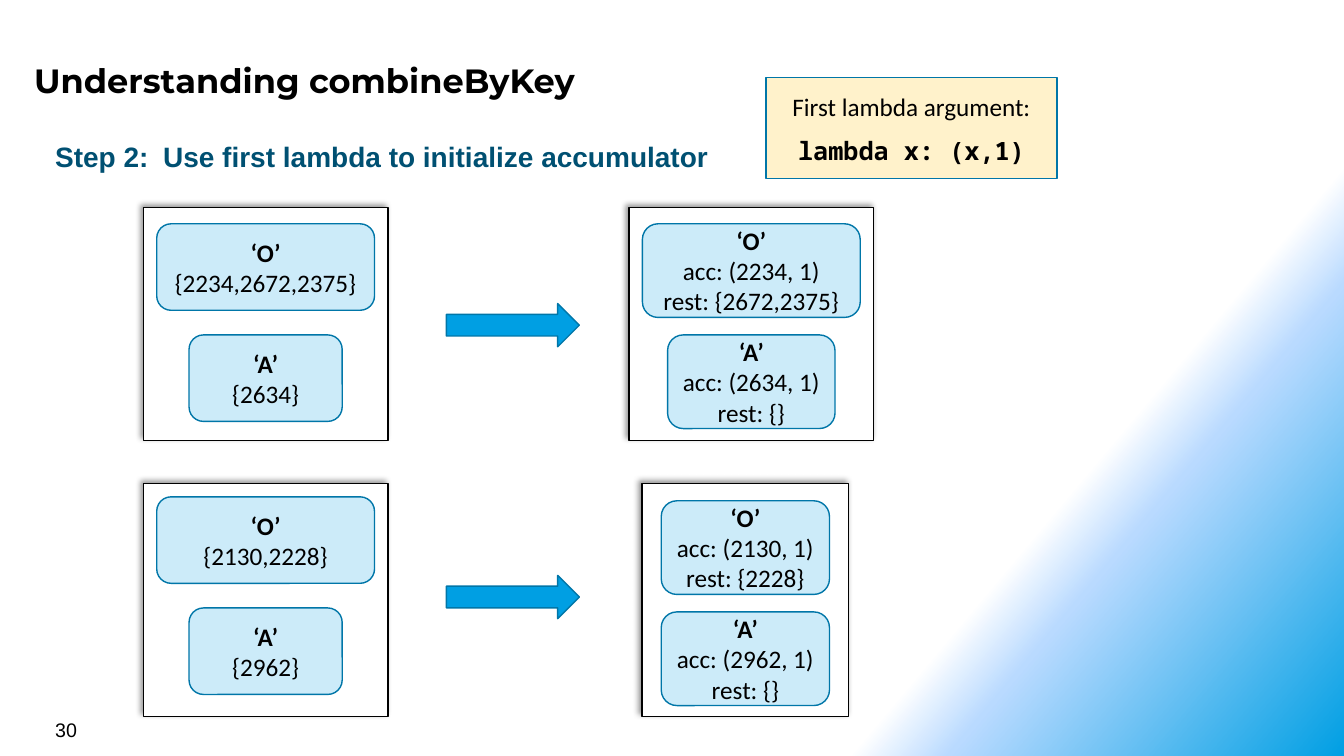
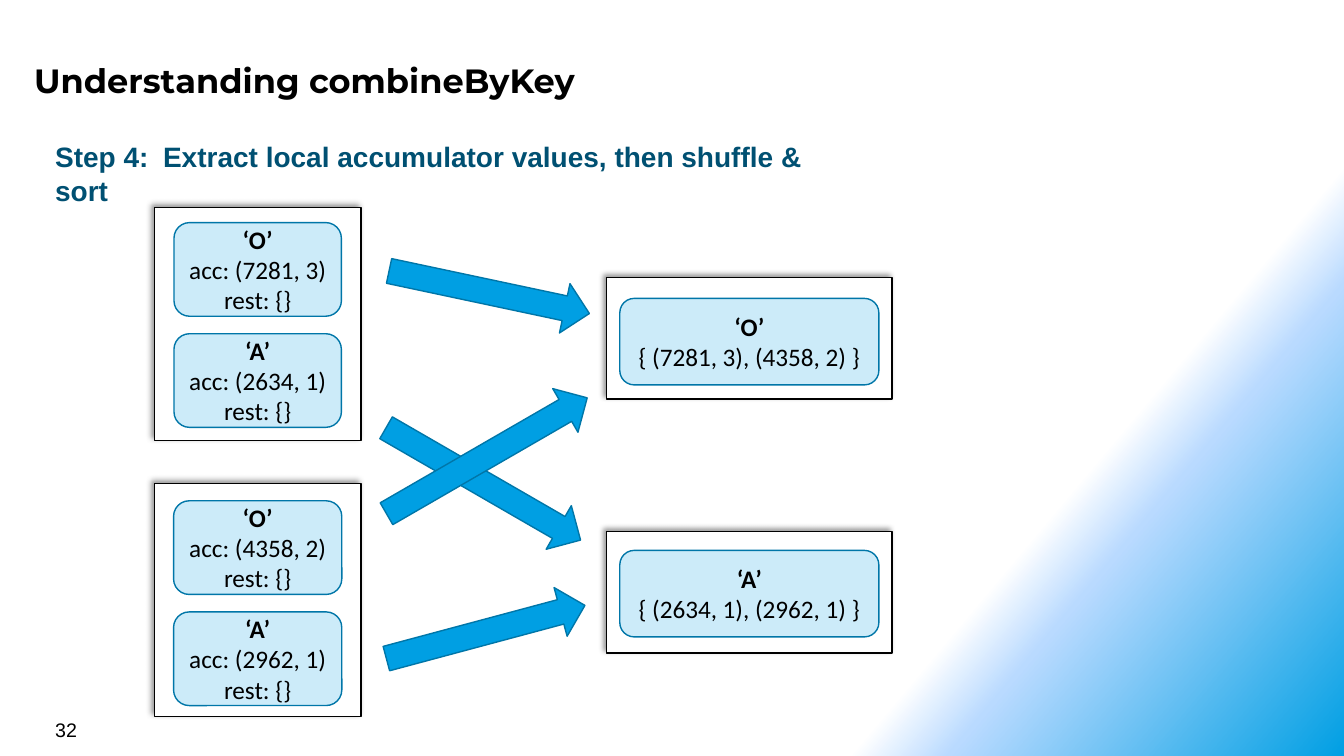
"""Build two slides that walk through steps of combineByKey."""
from lxml.etree import SubElement
from pptx import Presentation
from pptx.dml.color import RGBColor
from pptx.enum.shapes import MSO_SHAPE as Shape
from pptx.enum.text import MSO_ANCHOR as Anchor, MSO_AUTO_SIZE as AutoSize, PP_ALIGN as Align
from pptx.oxml.ns import qn
from pptx.util import Cm, Pt

BLACK = RGBColor(0x00, 0x00, 0x00)
WHITE = RGBColor(0xFF, 0xFF, 0xFF)
BLUE = RGBColor(0x00, 0x9F, 0xE3)
PALE_BLUE = RGBColor(0xB9, 0xDA, 0xFF)
EDGE_BLUE = RGBColor(0x00, 0x76, 0xA8)
STEP_BLUE = RGBColor(0x00, 0x50, 0x72)
CREAM = RGBColor(0xFF, 0xF2, 0xCB)
BACKGROUND_STOPS = [(75, WHITE), (80, PALE_BLUE), (100, BLUE)]

TITLE = "Understanding combineByKey"
TITLE_AREA = (0.66, 1.3, 31.14, 1.4)
NUMBER_AREA = (1.14, 17.96, 7.9, 0.84)
STEP_LEFT, STEP_TOP, STEP_HEIGHT, STEP_TAB = 1.14, 3.4, 1.12, 2.72
NOTE_AREA = (19.3, 1.96, 7.34, 2.54)

UPPER, LOWER, TALL = 5.23, 12.19, 5.87
CARD_PITCH = 2.8
CARD_HEIGHTS = {2: 2.18, 3: 2.36}

SLIDES = [
    {
        "number": "30",
        "step": ("Step 2:", "Use first lambda to initialize accumulator"),
        "step_width": 17.3,
        "note": ("First lambda argument:", "lambda x: (x,1)"),
        "panels": [
            ((3.61, UPPER, 6.17, TALL), 0.41, [
                (5.49, ["‘O’", "{2234,2672,2375}"]),
                (3.86, ["‘A’", "{2634}"])]),
            ((15.85, UPPER, 6.17, TALL), 0.41, [
                (5.49, ["‘O’", "acc: (2234, 1)", "rest: {2672,2375}"]),
                (4.22, ["‘A’", "acc: (2634, 1)", "rest: {}"])]),
            ((3.61, LOWER, 6.17, TALL), 0.33, [
                (5.49, ["‘O’", "{2130,2228}"]),
                (3.86, ["‘A’", "{2962}"])]),
            ((16.18, LOWER, 5.21, TALL), 0.43, [
                (4.24, ["‘O’", "acc: (2130, 1)", "rest: {2228}"]),
                (4.24, ["‘A’", "acc: (2962, 1)", "rest: {}"])]),
        ],
        "arrows": [
            ((11.25, 7.65, 3.35, 1.09), 0),
            ((11.25, 14.5, 3.35, 1.09), 0),
        ],
    },
    {
        "number": "32",
        "step": ("Step 4:", "Extract local accumulator values, then shuffle & sort"),
        "step_width": 20.83,
        "note": None,
        "panels": [
            ((3.89, UPPER, 5.21, TALL), 0.38, [
                (4.22, ["‘O’", "acc: (7281, 3)", "rest: {}"]),
                (4.22, ["‘A’", "acc: (2634, 1)", "rest: {}"])]),
            ((3.89, LOWER, 5.21, TALL), 0.43, [
                (4.24, ["‘O’", "acc: (4358, 2)", "rest: {}"]),
                (4.24, ["‘A’", "acc: (2962, 1)", "rest: {}"])]),
            ((15.29, 6.99, 7.19, 3.07), 0.53, [
                (6.53, ["‘O’", "{ (7281, 3), (4358, 2) }"])]),
            ((15.29, 13.39, 7.19, 3.07), 0.48, [
                (6.53, ["‘A’", "{ (2634, 1), (2962, 1) }"])]),
        ],
        "arrows": [
            ((9.75, 6.73, 5.16, 1.27), 12),
            ((9.35, 11.56, 5.66, 1.27), 30),
            ((9.65, 15.29, 5.18, 1.27), 345),
            ((9.35, 10.85, 5.84, 1.27), 330),
        ],
    },
]


def lengths(area):
    return [Cm(value) for value in area]


def set_font(para, name, size, color=BLACK, bold=False):
    font = para.font
    font.name, font.size, font.bold = name, Pt(size), bold
    font.color.rgb = color


def paint_background(master):
    fill = master.background.fill
    fill.gradient()
    fill.gradient_angle = 320
    stops = master.element.find(".//" + qn("a:gsLst"))
    stops.clear()
    for position, color in BACKGROUND_STOPS:
        stop = SubElement(stops, qn("a:gs"), pos=str(position * 1000))
        SubElement(stop, qn("a:srgbClr"), val=str(color))


def add_box(page, kind, area, fill, edge):
    box = page.shapes.add_shape(kind, *lengths(area))
    box.shadow.inherit = False
    box.fill.solid()
    box.fill.fore_color.rgb = fill
    box.line.color.rgb = edge
    box.line.width = Pt(1)
    return box


def write_centred(box, lines):
    frame = box.text_frame
    frame.word_wrap = True
    frame.vertical_anchor = Anchor.MIDDLE
    frame.text = "\n".join(lines)
    for para in frame.paragraphs:
        para.alignment = Align.CENTER
        set_font(para, "Calibri", 18)
    return frame


def add_card(page, area, lines):
    card = add_box(page, Shape.ROUNDED_RECTANGLE, area, BLUE, EDGE_BLUE)
    color = card.element.spPr.find(qn("a:solidFill")).find(qn("a:srgbClr"))
    SubElement(color, qn("a:alpha"), val="20000")
    frame = write_centred(card, lines)
    frame.margin_left = frame.margin_right = Cm(0.1)
    frame.paragraphs[0].font.bold = True


def add_panel(page, area, inset, cards):
    panel = add_box(page, Shape.RECTANGLE, area, WHITE, BLACK)
    effects = panel.element.spPr.find(qn("a:effectLst"))
    shadow = SubElement(effects, qn("a:outerShdw"), blurRad=str(Pt(4)), dist=str(Pt(3)),
                        dir=str(225 * 60000), algn="br", rotWithShape="0")
    color = SubElement(shadow, qn("a:srgbClr"), val=str(BLACK))
    SubElement(color, qn("a:alpha"), val="40000")
    left, top, panel_width, _ = area
    for index, (width, lines) in enumerate(cards):
        card_left = left + (panel_width - width) / 2
        card_top = top + inset + index * CARD_PITCH
        add_card(page, (card_left, card_top, width, CARD_HEIGHTS[len(lines)]), lines)


def add_label(page, area, text):
    frame = page.shapes.add_textbox(*lengths(area)).text_frame
    frame.word_wrap = True
    frame.text = text
    return frame.paragraphs[0]


def add_title(page):
    title = page.shapes.title
    title.left, title.top, title.width, title.height = lengths(TITLE_AREA)
    frame = title.text_frame
    frame.text = TITLE
    frame.auto_size = AutoSize.NONE
    frame.vertical_anchor = Anchor.TOP
    frame.margin_left = frame.margin_right = Cm(0.2)
    frame.margin_top = frame.margin_bottom = Cm(0.2)
    para = frame.paragraphs[0]
    para.alignment = Align.LEFT
    set_font(para, "Montserrat", 24, bold=True)


def add_step(page, words, width):
    area = (STEP_LEFT, STEP_TOP, width, STEP_HEIGHT)
    para = add_label(page, area, "\t".join(words))
    tabs = SubElement(para._p.get_or_add_pPr(), qn("a:tabLst"))
    SubElement(tabs, qn("a:tab"), pos=str(Cm(STEP_TAB)), algn="l")
    set_font(para, "Arial", 20, STEP_BLUE, True)


def add_note(page, lines):
    note = add_box(page, Shape.RECTANGLE, NOTE_AREA, CREAM, EDGE_BLUE)
    code = write_centred(note, lines).paragraphs[1]
    code.space_before = Pt(10)
    set_font(code, "Noto Sans Mono", 18, bold=True)


def build_slide(deck, content):
    page = deck.slides.add_slide(deck.slide_layouts[5])
    add_title(page)
    set_font(add_label(page, NUMBER_AREA, content["number"]), "Arial", 14)
    add_step(page, content["step"], content["step_width"])
    for panel in content["panels"]:
        add_panel(page, *panel)
    for area, rotation in content["arrows"]:
        add_box(page, Shape.RIGHT_ARROW, area, BLUE, EDGE_BLUE).rotation = rotation
    if content["note"]:
        add_note(page, content["note"])


def main():
    deck = Presentation()
    deck.slide_width, deck.slide_height = Cm(33.87), Cm(19.05)
    paint_background(deck.slide_master)
    for content in SLIDES:
        build_slide(deck, content)
    deck.save("out.pptx")


if __name__ == "__main__":
    main()
